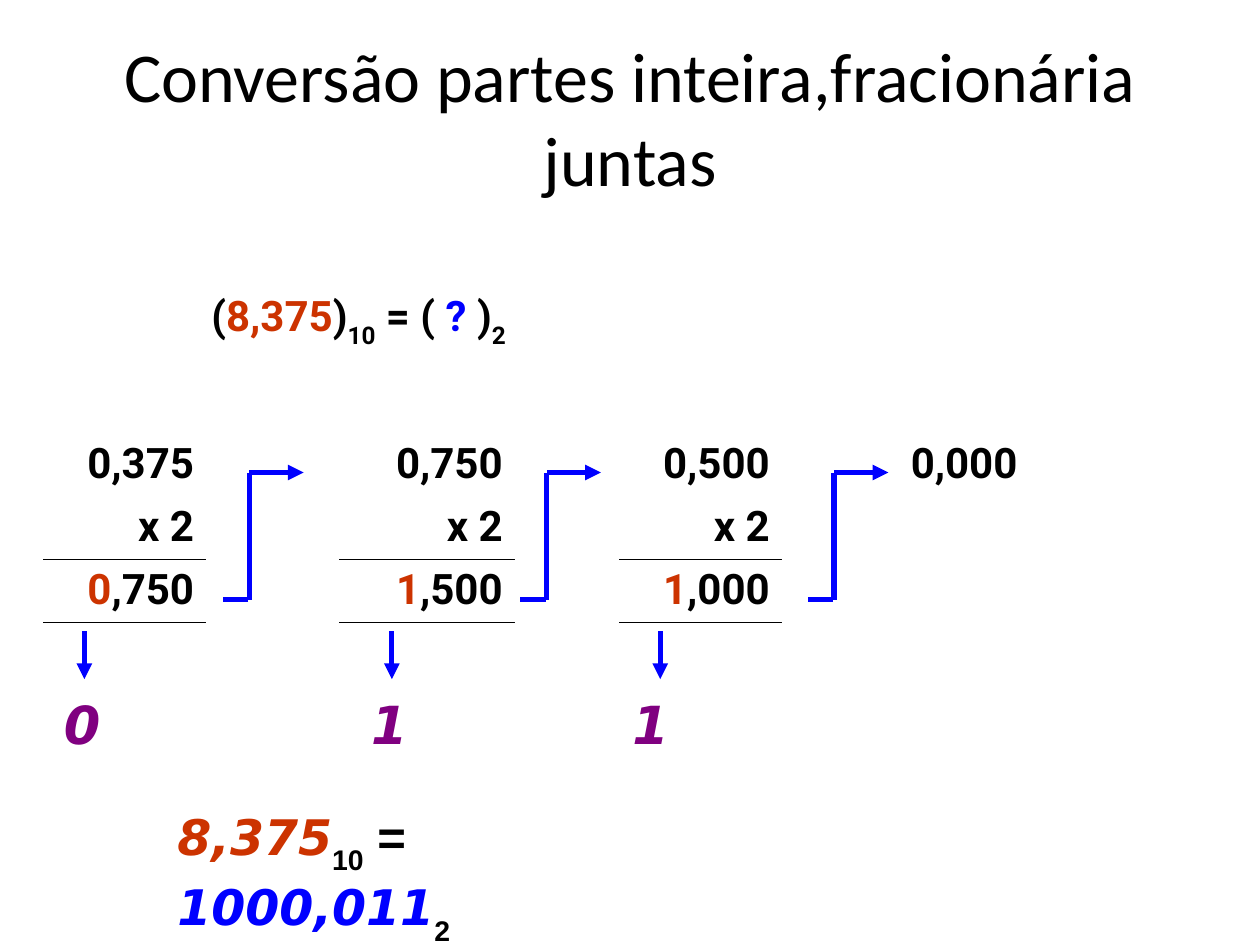
from dataclasses import dataclass
from lxml.etree import SubElement as Sub
from pptx import Presentation
from pptx.dml.color import RGBColor as Rgb
from pptx.enum.shapes import MSO_CONNECTOR as Conn
from pptx.enum.text import MSO_ANCHOR as Anchor, MSO_AUTO_SIZE as Auto, PP_ALIGN as Align
from pptx.oxml import parse_xml
from pptx.oxml.ns import nsdecls, qn
from pptx.util import Inches, Pt

WIDE, HIGH = Inches(10), Inches(7.5)
COLS, ROWS = 100, 75
HUES = {"ink": "000000", "red": "CC3300", "blue": "0000FF", "plum": "800080"}
SANS, SLANT = "Roboto", "DejaVu Sans"
TOP, LOW = 37.5, 47.6
BITS = (50.1, 53.9)


@dataclass
class Step:
    col: int
    start: str
    bit: str
    rest: str
    pad: str
    pad_size: float
    drop: float
    bend: float


STEPS = [
    Step(0, "0,375", "0", ",750", " ", 12, 6.7, 19.8),
    Step(2, "0,750", "1", ",500", " ", 30, 31.1, 43.4),
    Step(4, "0,500", "1", ",000", "", 30, 52.4, 66.2),
]


def across(n: float) -> int:
    return round(WIDE * n / COLS)


def down(n: float) -> int:
    return round(HIGH * n / ROWS)


def put(para, text: str, *, size: float = 24, font: str = SANS, hue: str = "ink",
        bold: bool = True, slant: bool = False, base: int = 0) -> None:
    run = para.add_run()
    run.text = text
    face = run.font
    face.size, face.name = Pt(size), font
    face.bold, face.italic = bold, slant
    face.color.rgb = Rgb.from_string(HUES[hue])
    if base:
        run._r.get_or_add_rPr().set("baseline", str(base * 1000))


def add_box(slide, left: float, top: float, wide: float, high: float):
    box = slide.shapes.add_textbox(across(left), down(top), across(wide), down(high))
    frame = box.text_frame
    frame.word_wrap = True
    return frame


def add_line(shapes, x1: float, y1: float, x2: float, y2: float, head: bool = False) -> None:
    link = shapes.add_connector(Conn.STRAIGHT, across(x1), down(y1), across(x2), down(y2))
    link.line.color.rgb = Rgb.from_string(HUES["blue"])
    link.line.width = Pt(3)
    if head:
        Sub(link.line._get_or_add_ln(), qn("a:tailEnd"), type="triangle")
    Sub(link._element.spPr, qn("a:effectLst"))


def add_bend(slide, x: float) -> None:
    group = slide.shapes.add_group_shape().shapes
    add_line(group, x, TOP, x + 4.3, TOP, head=True)
    add_line(group, x, TOP, x, LOW)
    add_line(group, x - 0.1, LOW, x - 2.1, LOW)


def add_edge(cell, side: str) -> None:
    edge = parse_xml(
        f'<a:{side} {nsdecls("a")} w="{Pt(1.08)}"><a:solidFill>'
        f'<a:srgbClr val="{HUES["ink"]}"/></a:solidFill></a:{side}>'
    )
    cell._tc.get_or_add_tcPr().insert(0, edge)


def start_cell(table, row: int, col: int, align=Align.RIGHT, before: float = 6):
    para = table.cell(row, col).text_frame.paragraphs[0]
    para.alignment, para.space_before = align, Pt(before)
    return para


def add_table(slide) -> None:
    wides = [12.9, 10.6, 13.9, 8.3, 12.9, 9.2, 22.8]
    highs = [5, 5, 5, 5.3, 6]
    table = slide.shapes.add_table(
        len(highs), len(wides), across(3.5), down(34.4),
        across(sum(wides)), down(sum(highs))).table
    table.first_row = table.horz_banding = False
    for col, wide in zip(table.columns, wides):
        col.width = across(wide)
    for row, high in zip(table.rows, highs):
        row.height = down(high)
    for cell in table.iter_cells():
        cell.fill.background()
    for step in STEPS:
        put(start_cell(table, 0, step.col), step.start)
        put(start_cell(table, 1, step.col), "x 2")
        para = start_cell(table, 2, step.col)
        put(para, step.bit, hue="red")
        put(para, step.rest)
        para = start_cell(table, 4, step.col, Align.LEFT, 7.5)
        if step.pad:
            put(para, step.pad, size=step.pad_size, font=SLANT, hue="plum", slant=True)
        put(para, step.bit, size=30, font=SLANT, hue="plum", slant=True)
        add_edge(table.cell(1, step.col), "lnB")
        add_edge(table.cell(2, step.col), "lnT")
    put(start_cell(table, 0, 6, Align.LEFT), "0,000")


def add_title(slide) -> None:
    frame = add_box(slide, 5, 3, 90, 12.5)
    frame.vertical_anchor = Anchor.MIDDLE
    para = frame.paragraphs[0]
    para.alignment = Align.CENTER
    put(para, "Conversão partes inteira,fracionária juntas", size=40, font="Calibri", bold=False)


def add_task(slide) -> None:
    frame = add_box(slide, 15.8, 22.5, 38.3, 5.7)
    frame.auto_size = Auto.SHAPE_TO_FIT_TEXT
    para = frame.paragraphs[0]
    para.space_before = Pt(15)
    put(para, "(")
    put(para, "8,375", hue="red")
    put(para, ")")
    put(para, "10", base=-30)
    put(para, " = ( ")
    put(para, "?", hue="blue")
    put(para, " )")
    put(para, "2", base=-30)


def add_sum(slide) -> None:
    frame = add_box(slide, 13.1, 63.5, 35.9, 6.6)
    para = frame.paragraphs[0]
    put(para, "8,375", size=28, font=SLANT, hue="red", slant=True)
    put(para, "10", size=28, font="Arial", base=-32)
    put(para, " = ", size=28, font="Arial")
    put(para, "1000,011", size=28, font=SLANT, hue="blue", slant=True)
    put(para, "2", size=28, font="Arial", base=-32)


def main() -> None:
    deck = Presentation()
    deck.slide_width, deck.slide_height = WIDE, HIGH
    slide = deck.slides.add_slide(deck.slide_layouts[6])
    add_title(slide)
    add_task(slide)
    add_table(slide)
    for step in STEPS:
        add_line(slide.shapes, step.drop, BITS[0], step.drop, BITS[1], head=True)
        add_bend(slide, step.bend)
    add_sum(slide)
    deck.save("out.pptx")


if __name__ == "__main__":
    main()
